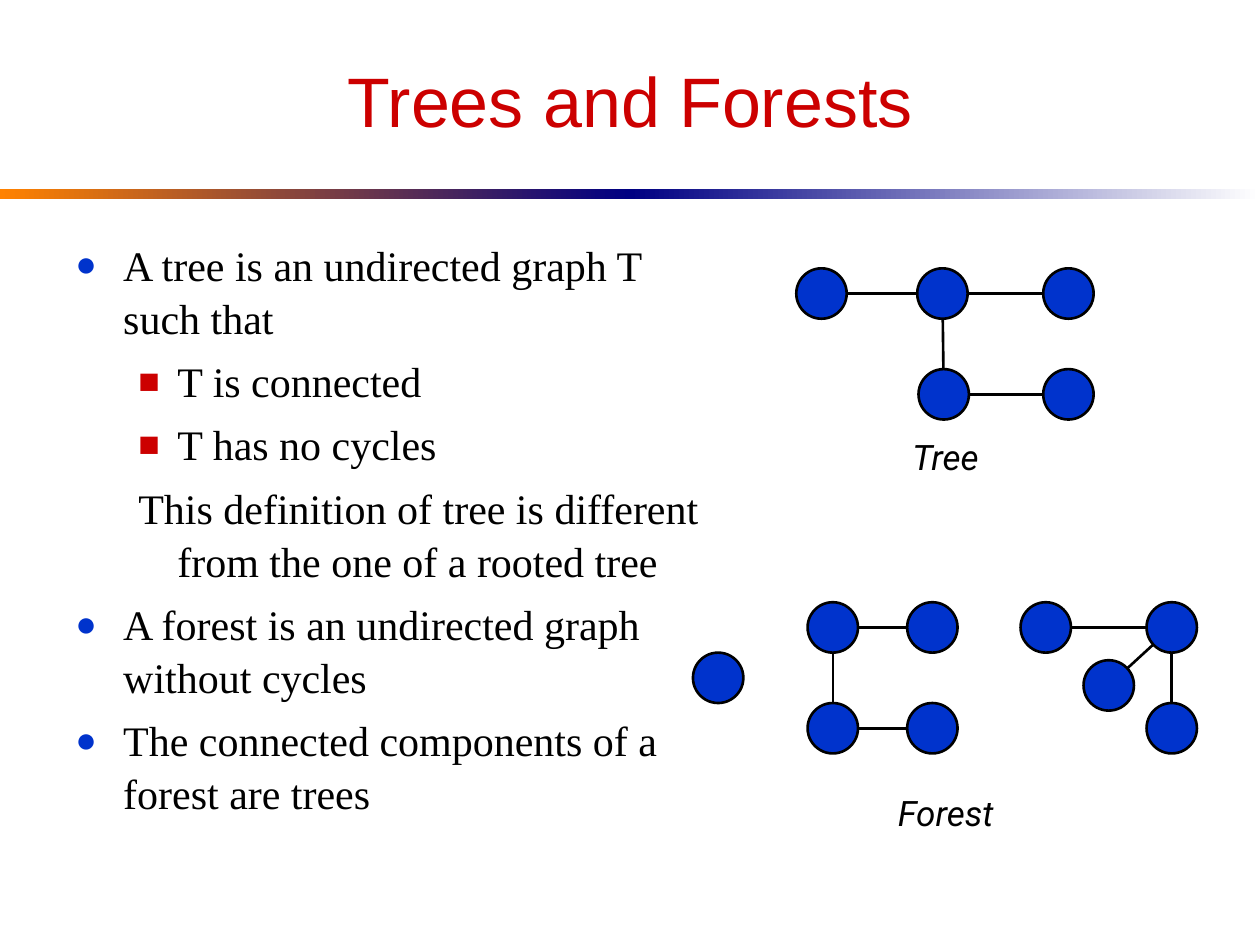
from math import hypot

from lxml.etree import SubElement
from pptx import Presentation
from pptx.dml.color import RGBColor
from pptx.enum.shapes import MSO_CONNECTOR, MSO_SHAPE
from pptx.enum.text import MSO_ANCHOR, PP_ALIGN
from pptx.oxml.ns import qn
from pptx.util import Inches, Pt

RED = RGBColor(0xCC, 0x00, 0x00)
BLUE = RGBColor(0x00, 0x33, 0xCC)
BLACK = RGBColor(0x00, 0x00, 0x00)
WHITE = RGBColor(0xFF, 0xFF, 0xFF)
ORANGE = RGBColor(0xFF, 0x82, 0x00)
NAVY = RGBColor(0x00, 0x00, 0x82)

TITLE_FONT = {"name": "Arial", "size": Pt(40)}
BODY_FONT = {"name": "Times New Roman", "size": Pt(24)}
LABEL_FONT = {"name": "Roboto", "size": Pt(20), "italic": True}


def add_span(para, text, font_format, color):
    span = para.add_run()
    span.text = text
    for name, value in font_format.items():
        setattr(span.font, name, value)
    span.font.color.rgb = color


def add_bullet(para, character, color):
    properties = para._p.get_or_add_pPr()
    bullet_color = SubElement(properties, qn("a:buClr"))
    SubElement(bullet_color, qn("a:srgbClr"), val=str(color))
    SubElement(properties, qn("a:buSzPct"), val="85000")
    SubElement(properties, qn("a:buFont"), typeface="Arial")
    SubElement(properties, qn("a:buChar"), char=character)


deck = Presentation()
deck.slide_width, deck.slide_height = Inches(10), Inches(7.5)
page = deck.slides.add_slide(deck.slide_layouts[5])

# Gradient rule under the title, in two halves
half = deck.slide_width // 2
for column, colors in enumerate([(ORANGE, NAVY), (NAVY, WHITE)]):
    band = page.shapes.add_shape(MSO_SHAPE.RECTANGLE, column * half,
                                 Inches(1.5), half, Inches(0.08))
    band.shadow.inherit = False
    band.line.fill.background()
    band.fill.gradient()
    band.fill.gradient_angle = 0
    for stop, position, color in zip(band.fill.gradient_stops, (0, 1), colors):
        stop.position = position
        stop.color.rgb = color

# Title
title = page.shapes.title
title.left, title.top = Inches(0.5), Inches(0.25)
title.width, title.height = Inches(9), Inches(1.08)
title.text_frame.vertical_anchor = MSO_ANCHOR.MIDDLE
title_para = title.text_frame.paragraphs[0]
title_para.alignment = PP_ALIGN.CENTER
add_span(title_para, "Trees and Forests", TITLE_FONT, RED)

# Definitions: level, bullet, text
definitions = [
    (0, "●", "A tree is an undirected graph T such that"),
    (1, "■", "T is connected"),
    (1, "■", "T has no cycles"),
    (1, None, "This definition of tree is different from the one of a rooted tree"),
    (0, "●", "A forest is an undirected graph without cycles"),
    (0, "●", "The connected components of a forest are trees"),
]
indents = [(0.38, -0.38), (0.81, -0.31)]
bullet_colors = [BLUE, RED]
box = page.shapes.add_textbox(Inches(0.5), Inches(1.83), Inches(5.17), Inches(4.92))
box.text_frame.word_wrap = True
for index, (level, bullet, text) in enumerate(definitions):
    para = box.text_frame.add_paragraph() if index else box.text_frame.paragraphs[0]
    if bullet:
        add_bullet(para, bullet, bullet_colors[level])
    para.level = level
    para.line_spacing = 1.05
    para.space_before = Pt(6 if index else 0)
    margin, first_line = indents[level]
    properties = para._p.get_or_add_pPr()
    properties.set("marL", str(Inches(margin)))
    properties.set("indent", str(Inches(first_line)))
    add_span(para, text, BODY_FONT, BLACK)

# Graph labels: text, left, top, width
for text, left, top, width in [("Tree", 5.94, 3.41, 3.13), ("Forest", 5.51, 6.23, 3.99)]:
    label = page.shapes.add_textbox(Inches(left), Inches(top), Inches(width), Inches(0.44))
    label.text_frame.word_wrap = True
    label_para = label.text_frame.paragraphs[0]
    label_para.alignment = PP_ALIGN.CENTER
    add_span(label_para, text, LABEL_FONT, BLACK)

# Graphs: node centres in inches, and edges as pairs of node numbers
RADIUS = 0.2
ROW = 0.8
tree_top, forest_top = 2.33, 4.98
graphs = [
    ([(6.52, tree_top), (7.48, tree_top), (8.48, tree_top),
      (7.49, tree_top + ROW), (8.48, tree_top + ROW)],
     [(0, 1), (1, 2), (1, 3), (3, 4)]),
    ([(5.7, forest_top + ROW / 2)], []),
    ([(6.61, forest_top), (7.4, forest_top),
      (6.61, forest_top + ROW), (7.4, forest_top + ROW)],
     [(0, 1), (0, 2), (2, 3)]),
    ([(8.3, forest_top), (9.3, forest_top), (8.8, 5.44), (9.3, forest_top + ROW)],
     [(0, 1), (1, 2), (1, 3)]),
]
for nodes, edges in graphs:
    for x, y in nodes:
        node = page.shapes.add_shape(MSO_SHAPE.OVAL, Inches(x - RADIUS), Inches(y - RADIUS),
                                     Inches(2 * RADIUS), Inches(2 * RADIUS))
        node.shadow.inherit = False
        node.fill.solid()
        node.fill.fore_color.rgb = BLUE
        node.line.color.rgb = BLACK
        node.line.width = Pt(1.5)
    for start, end in edges:
        (x1, y1), (x2, y2) = nodes[start], nodes[end]
        # Each edge stops at the rims of its two nodes
        share = RADIUS / hypot(x2 - x1, y2 - y1)
        trim_x, trim_y = share * (x2 - x1), share * (y2 - y1)
        edge = page.shapes.add_connector(
            MSO_CONNECTOR.STRAIGHT, Inches(x1 + trim_x), Inches(y1 + trim_y),
            Inches(x2 - trim_x), Inches(y2 - trim_y))
        edge.line.color.rgb = BLACK
        edge.line.width = Pt(1.5)
        SubElement(edge._element.spPr, qn("a:effectLst"))

deck.save("out.pptx")
